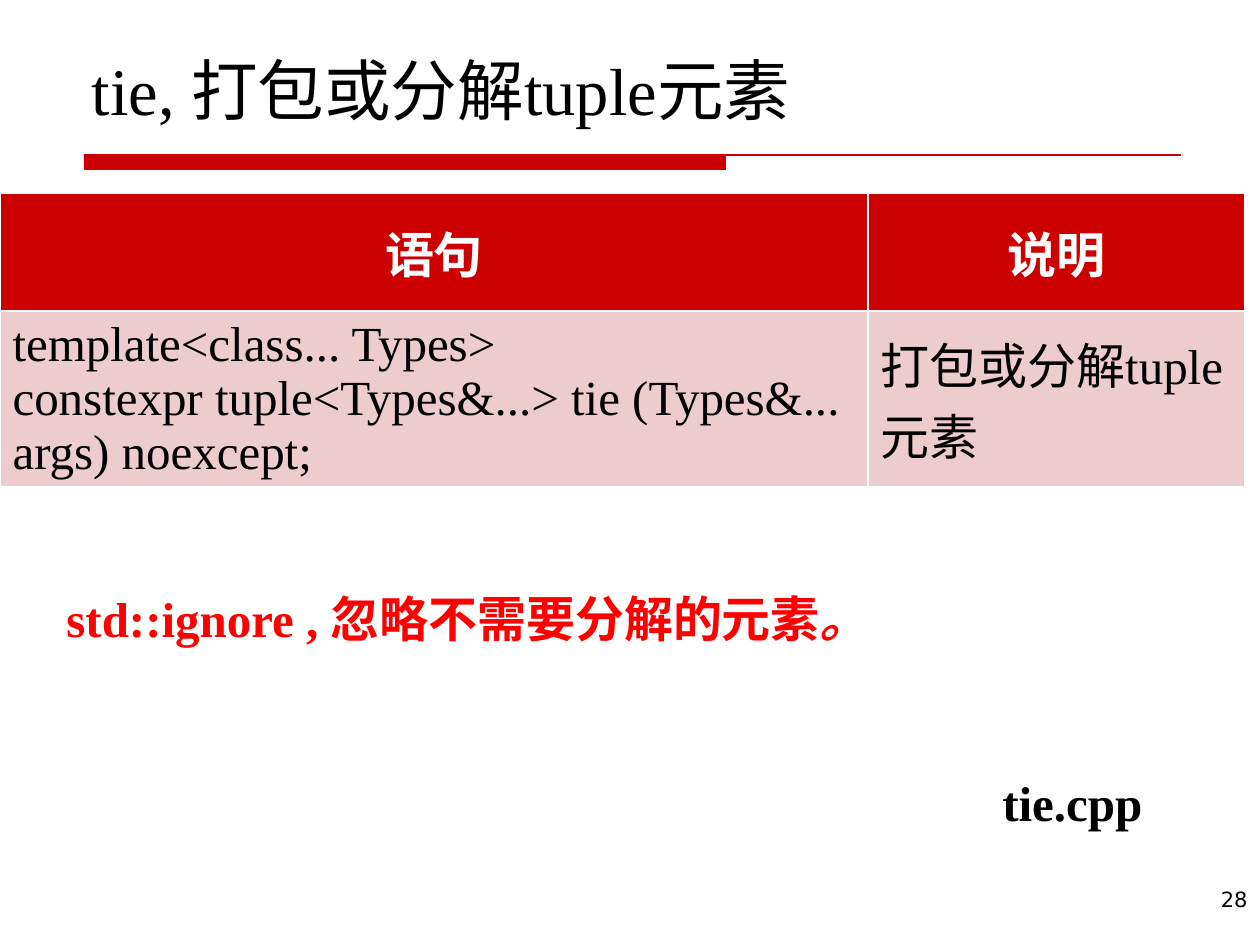
"""Build the slide on std::tie, which packs or unpacks tuple elements."""
from dataclasses import dataclass
from lxml.etree import SubElement
from pptx import Presentation
from pptx.dml.color import RGBColor
from pptx.enum.shapes import MSO_CONNECTOR, MSO_SHAPE
from pptx.enum.text import MSO_ANCHOR, MSO_AUTO_SIZE, PP_ALIGN
from pptx.oxml.ns import qn
from pptx.util import Emu, Pt


@dataclass(frozen=True)
class Theme:
    black: str = "000000"
    white: str = "FFFFFF"
    red: str = "CC0000"
    pink: str = "ECCCCC"
    hot: str = "FF0000"
    serif: str = "Times New Roman"
    sans: str = "DejaVu Sans"
    title: int = 38
    body: int = 28
    small: int = 12


theme = Theme()


def px(*nums):
    return [Emu(round(num * 914400 / 126)) for num in nums]


def style(para, size, color, bold=False, face=theme.serif, align=PP_ALIGN.LEFT):
    para.alignment = align
    font = para.font
    font.name, font.size, font.bold = face, Pt(size), bold
    font.color.rgb = RGBColor.from_string(color)


deck = Presentation()
deck.slide_width, deck.slide_height = px(1260, 945)
slide = deck.slides.add_slide(deck.slide_layouts[5])
shapes = slide.shapes
red = RGBColor.from_string(theme.red)

bar = shapes.add_shape(MSO_SHAPE.RECTANGLE, *px(84, 155, 642, 15))
bar.shadow.inherit = False
bar.fill.solid()
bar.fill.fore_color.rgb = red
bar.line.fill.background()

rule = shapes.add_connector(MSO_CONNECTOR.STRAIGHT, *px(84, 155, 1181, 155))
rule.line.color.rgb = red
rule.line.width = Pt(0.75)
SubElement(rule.element.spPr, qn("a:effectLst"))

title = shapes.title
title.left, title.top, title.width, title.height = px(79, 42, 1102, 93)
frame = title.text_frame
frame.text = "tie, 打包或分解tuple元素"
frame.auto_size = MSO_AUTO_SIZE.NONE
frame.vertical_anchor = MSO_ANCHOR.BOTTOM
style(frame.paragraphs[0], theme.title, theme.black)

rows = [
    ["语句", "说明"],
    [
        "template<class... Types>\n"
        "constexpr tuple<Types&...> tie (Types&... args) noexcept;",
        "打包或分解tuple元素",
    ],
]
looks = [
    (theme.red, theme.white, True, PP_ALIGN.CENTER),
    (theme.pink, theme.black, False, PP_ALIGN.LEFT),
]
grid = shapes.add_table(2, 2, *px(0, 193, 1245, 293)).table
for col, width in zip(grid.columns, px(868, 377)):
    col.width = width
for row, high in zip(grid.rows, px(118, 175)):
    row.height = high
for row, texts, (fill, color, bold, align) in zip(grid.rows, rows, looks):
    for cell, text in zip(row.cells, texts):
        cell.text = text
        cell.vertical_anchor = MSO_ANCHOR.MIDDLE
        cell.fill.solid()
        cell.fill.fore_color.rgb = RGBColor.from_string(fill)
        for para in cell.text_frame.paragraphs:
            style(para, theme.body, color, bold, align=align)

notes = [
    ((990, 766, 185, 72), "tie.cpp", "", theme.black),
    ((54, 582, 936, 72), "std::ignore , 忽略不需要分解的元素", "。", theme.hot),
]
for place, text, stop, color in notes:
    frame = shapes.add_textbox(*px(*place)).text_frame
    frame.word_wrap = True
    para = frame.paragraphs[0]
    para.add_run().text = text
    if stop:
        run = para.add_run()
        run.text = stop
        run.font.italic = True
    style(para, theme.body, color, True)

frame = shapes.add_textbox(*px(990, 880, 270, 65)).text_frame
frame.word_wrap = True
frame.text = "28"
style(frame.paragraphs[0], theme.small, theme.black, face=theme.sans, align=PP_ALIGN.RIGHT)

deck.save("out.pptx")
